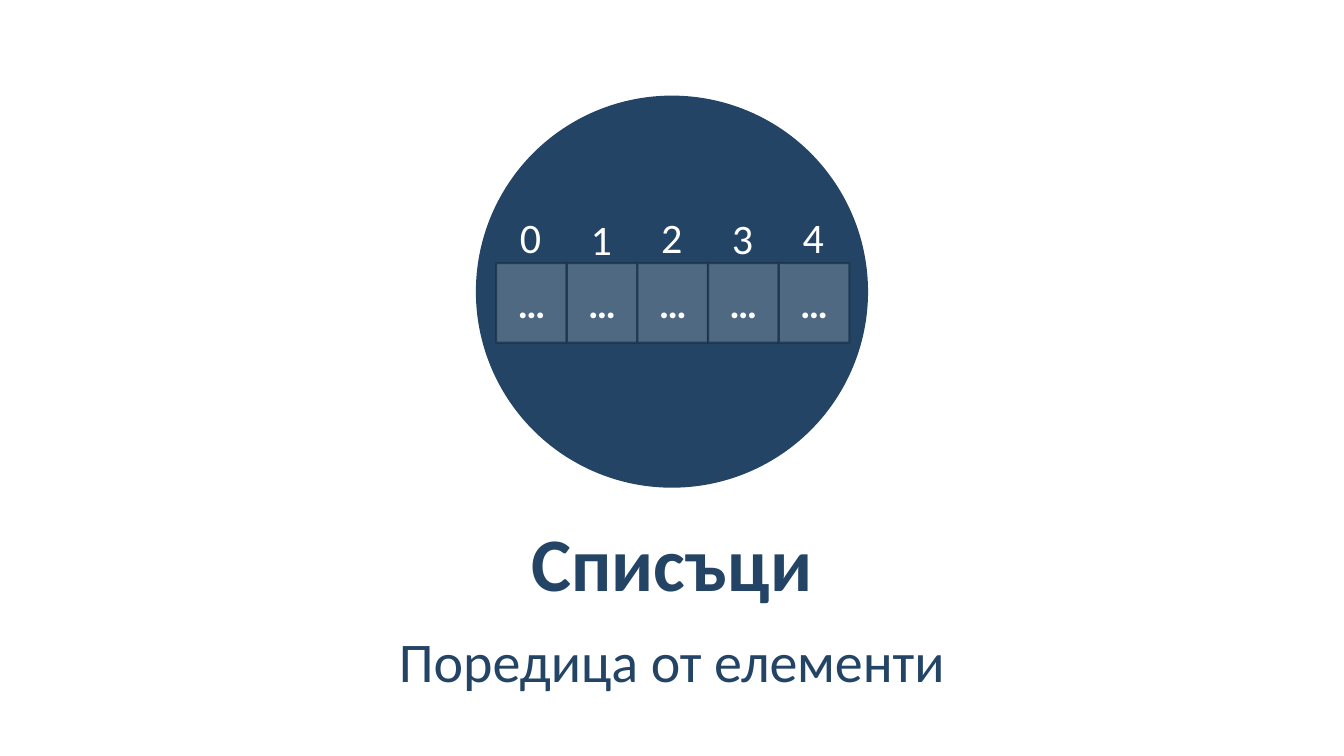
from dataclasses import dataclass, field

from lxml.etree import SubElement
from pptx import Presentation
from pptx.dml.color import RGBColor
from pptx.enum.shapes import MSO_SHAPE
from pptx.enum.text import MSO_ANCHOR, MSO_AUTO_SIZE, PP_ALIGN
from pptx.oxml.ns import qn
from pptx.shapes.autoshape import Shape
from pptx.util import Cm, Pt

NAVY = "234465"
WHITE = "FFFFFF"
EDGE = "1A334C"
CELL_LEFT = 12.5
CELL_WIDTH = 1.78
LABEL_TOPS = (4.9, 4.95, 4.9, 4.93, 4.9)


@dataclass
class Box:
    left: float
    top: float
    width: float
    height: float


@dataclass
class Label:
    text: str
    box: Box
    font: dict
    frame: dict
    para: dict = field(default_factory=dict)


def rgb(value: str) -> RGBColor:
    return RGBColor.from_string(value)


def set_all(target, values: dict) -> None:
    for name, value in values.items():
        setattr(target, name, value)


def place(box: Box) -> tuple:
    return Cm(box.left), Cm(box.top), Cm(box.width), Cm(box.height)


def set_alpha(fill_parent, percent: int) -> None:
    color = fill_parent.find(qn("a:solidFill"))[0]
    SubElement(color, qn("a:alpha"), val=str(percent * 1000))


def write(sp: Shape, label: Label, color: str) -> None:
    tf = sp.text_frame
    set_all(tf, label.frame)
    p = tf.paragraphs[0]
    set_all(p, label.para)
    r = p.add_run()
    r.text = label.text
    set_all(r.font, {"name": "Calibri", **label.font})
    r.font.color.rgb = rgb(color)


def add_shape(shapes, kind: MSO_SHAPE, box: Box, fill: str) -> Shape:
    sp = shapes.add_shape(kind, *place(box))
    sp.shadow.inherit = False
    sp.fill.solid()
    sp.fill.fore_color.rgb = rgb(fill)
    sp.line.fill.background()
    return sp


def add_cell(shapes, label: Label) -> None:
    sp = add_shape(shapes, MSO_SHAPE.RECTANGLE, label.box, WHITE)
    set_alpha(sp.element.spPr, 20)
    sp.line.color.rgb = rgb(EDGE)
    sp.line.width = Pt(1.5)
    set_alpha(sp.element.spPr.find(qn("a:ln")), 80)
    write(sp, label, WHITE)


def add_text(shapes, label: Label, color: str) -> None:
    write(shapes.add_textbox(*place(label.box)), label, color)


def margins(side: float, end: float) -> dict:
    return {"margin_left": Cm(side), "margin_right": Cm(side),
            "margin_top": Cm(end), "margin_bottom": Cm(end)}


def main() -> None:
    prs = Presentation()
    prs.slide_width, prs.slide_height = Cm(33.86), Cm(19.05)
    s = prs.slides.add_slide(prs.slide_layouts[6])

    add_shape(s.shapes, MSO_SHAPE.OVAL, Box(11.99, 2.41, 9.88, 9.88), NAVY)

    middle = {"vertical_anchor": MSO_ANCHOR.MIDDLE, "word_wrap": True}
    center = {"alignment": PP_ALIGN.CENTER}
    cell_frame = {**middle, **margins(0.25, 0.13)}
    index_frame = {**margins(0.4, 0.3), "word_wrap": False,
                   "auto_size": MSO_AUTO_SIZE.SHAPE_TO_FIT_TEXT}
    heading_frame = {**middle, **margins(0.3, 0.1)}

    array = s.shapes.add_group_shape().shapes
    for i in range(len(LABEL_TOPS)):
        box = Box(CELL_LEFT + i * CELL_WIDTH, 6.63, CELL_WIDTH, 2.01)
        add_cell(array, Label("…", box, {"size": Pt(28), "bold": True}, cell_frame, center))
    for i, top in enumerate(LABEL_TOPS):
        box = Box(CELL_LEFT + 0.2 + i * CELL_WIDTH, top, 1.35, 1.96)
        add_text(array, Label(str(i), box, {"size": Pt(30)}, index_frame,
                              {"line_spacing": 1.1}), WHITE)

    headings = (
        Label("Поредица от елементи", Box(1.7, 15.52, 30.45, 2.13), {"size": Pt(40)},
              heading_frame, {**center, "line_spacing": 1.05}),
        Label("Списъци", Box(1.7, 13.08, 30.45, 2.13), {"size": Pt(54), "bold": True},
              heading_frame, center),
    )
    for heading in headings:
        add_text(s.shapes, heading, NAVY)

    prs.save("out.pptx")


if __name__ == "__main__":
    main()
